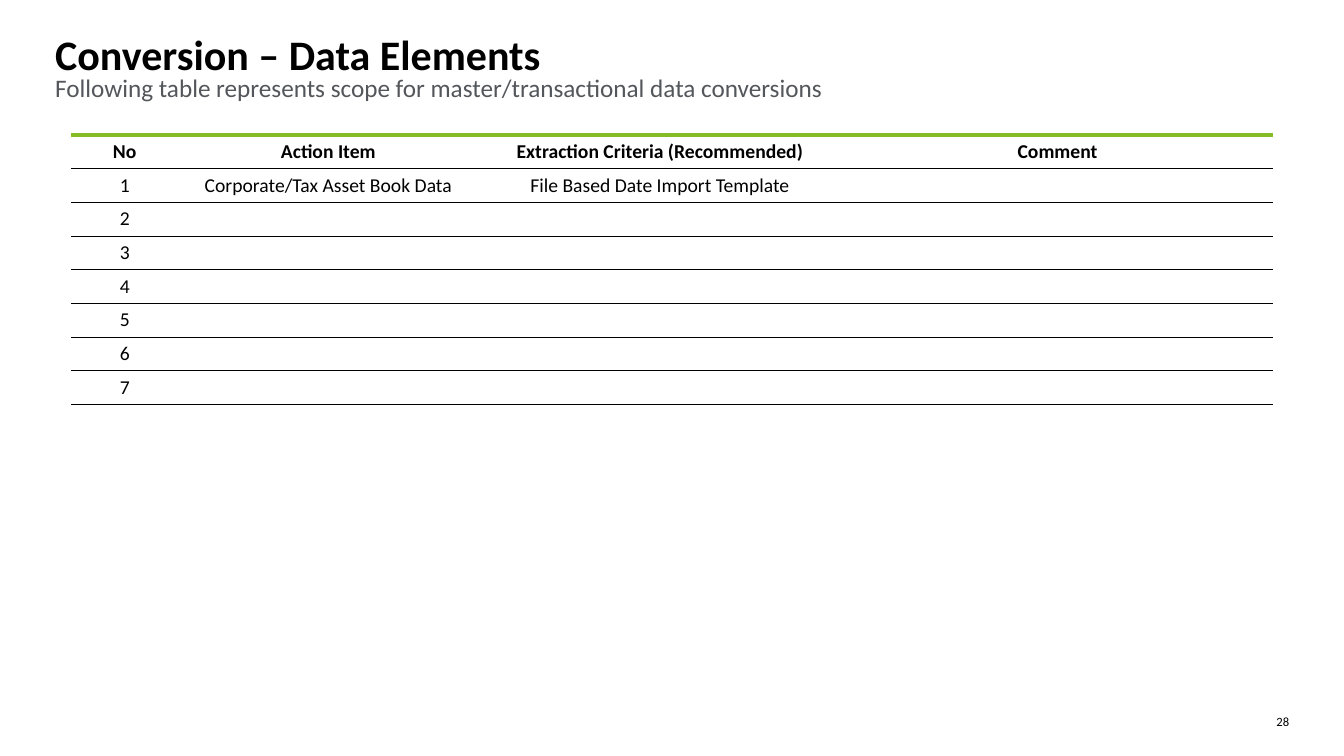
from lxml import etree
from pptx import Presentation
from pptx.dml.color import RGBColor
from pptx.enum.text import MSO_ANCHOR, PP_ALIGN
from pptx.oxml.ns import qn
from pptx.util import Pt

LEFT, CENTER, RIGHT = PP_ALIGN.LEFT, PP_ALIGN.CENTER, PP_ALIGN.RIGHT
TOP, MIDDLE = MSO_ANCHOR.TOP, MSO_ANCHOR.MIDDLE
FONT = "Calibri"
COLORS = {"ink": "000000", "subtitle": "53565A", "accent": "86BC25"}
HEADERS = ["No", "Action Item", "Extraction Criteria (Recommended)", "Comment"]
ELEMENTS = [["Corporate/Tax Asset Book Data", "File Based Date Import Template", ""]]
ITEM_COUNT = 7
COLUMN_SHARES = [1.07, 2.97, 3.61, 4.28]
CELL_MARGIN = 3.4


def style_text(paragraph, size, color, align, bold=False):
    """Align a paragraph and format its runs."""
    paragraph.alignment = align
    for run in paragraph.runs:
        run.font.name = FONT
        run.font.size = Pt(size)
        run.font.bold = bold
        run.font.color.rgb = RGBColor.from_string(COLORS[color])


def add_label(slide, box, text, size, color, align=LEFT, anchor=TOP, bold=False):
    """Place one line of text in a box without insets."""
    frame = slide.shapes.add_textbox(*map(Pt, box)).text_frame
    frame.word_wrap = True
    frame.vertical_anchor = anchor
    frame.margin_left = frame.margin_right = frame.margin_top = frame.margin_bottom = 0
    frame.text = text
    style_text(frame.paragraphs[0], size, color, align, bold)


def add_border(cell, side, color=None, width=0.25):
    """Draw one side of a cell, or clear it when no colour is given."""
    line = etree.SubElement(cell._tc.get_or_add_tcPr(), qn(f"a:ln{side}"), w=str(Pt(width)))
    if color:
        fill = etree.SubElement(line, qn("a:solidFill"))
        etree.SubElement(fill, qn("a:srgbClr"), val=COLORS[color])
    else:
        etree.SubElement(line, qn("a:noFill"))


def fill_cell(cell, text, is_header):
    """Write a centred table cell with horizontal rules only."""
    cell.margin_left = cell.margin_right = Pt(CELL_MARGIN)
    cell.margin_top = cell.margin_bottom = Pt(CELL_MARGIN)
    cell.vertical_anchor = MIDDLE
    paragraph = cell.text_frame.paragraphs[0]
    if text:
        paragraph.text = text
    else:
        etree.SubElement(paragraph._p, qn("a:endParaRPr"), sz="1400")
    style_text(paragraph, 14, "ink", CENTER, is_header)
    add_border(cell, "L")
    add_border(cell, "R")
    if is_header:
        add_border(cell, "T", "accent", 3)
    else:
        add_border(cell, "T", "ink")
    add_border(cell, "B", "ink")
    cell.fill.background()


def add_heading(slide, box):
    """Place the title with the subtitle directly below it."""
    left, top, width, height = box
    title_height = 26.6
    add_label(slide, (left, top + title_height, width, height - title_height),
              "Following table represents scope for master/transactional data conversions",
              18, "subtitle")
    add_label(slide, (left, top, width, title_height),
              "Conversion – Data Elements", 30, "ink", anchor=MIDDLE, bold=True)


def add_elements_table(slide, box):
    """Place the table of data elements, with numbered rows."""
    blank = [""] * (len(HEADERS) - 1)
    details = ELEMENTS + [blank] * (ITEM_COUNT - len(ELEMENTS))
    rows = [HEADERS] + [[str(number), *detail] for number, detail in enumerate(details, 1)]
    table = slide.shapes.add_table(len(rows), len(HEADERS), *map(Pt, box)).table
    table.first_row = table.horz_banding = False
    for column, share in zip(table.columns, COLUMN_SHARES):
        column.width = Pt(box[2] * share / sum(COLUMN_SHARES))
    for row_index, row in enumerate(rows):
        table.rows[row_index].height = Pt(box[3] / len(rows))
        for column_index, text in enumerate(row):
            fill_cell(table.cell(row_index, column_index), text, row_index == 0)


def main():
    """Build and save the data elements slide."""
    deck = Presentation()
    deck.slide_width, deck.slide_height = Pt(960), Pt(540)
    slide = deck.slides.add_slide(deck.slide_layouts[6])
    add_elements_table(slide, (50.6, 96.4, 859, 192.4))
    add_heading(slide, (39.4, 25.2, 881.3, 86.4))
    add_label(slide, (896.4, 509.8, 24.5, 10.8), "28", 9, "ink", RIGHT)
    deck.save("out.pptx")


if __name__ == "__main__":
    main()
